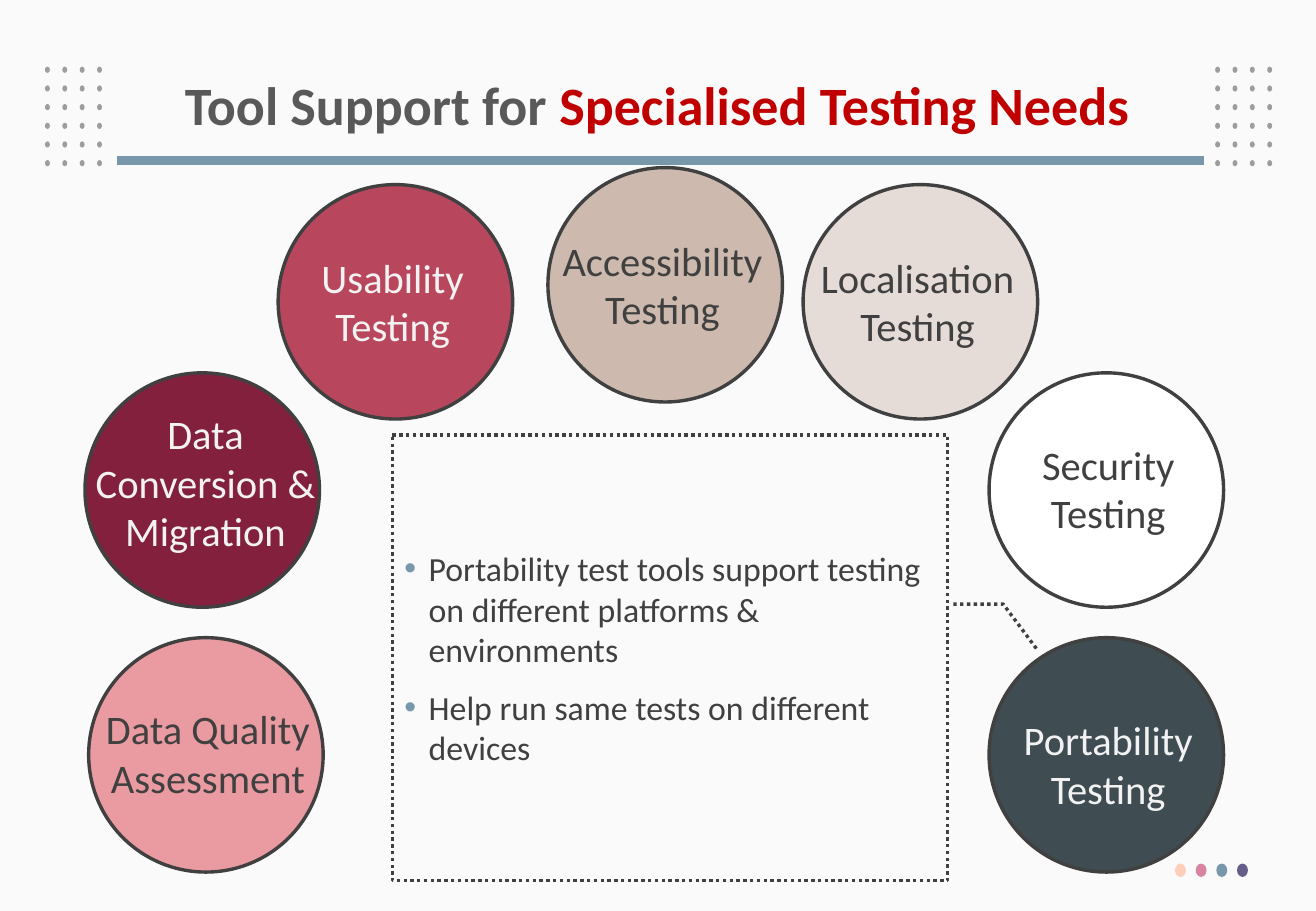
from itertools import product
from lxml.etree import SubElement
from pptx import Presentation
from pptx.dml.color import RGBColor
from pptx.enum.dml import MSO_LINE
from pptx.enum.shapes import MSO_CONNECTOR, MSO_SHAPE
from pptx.enum.text import MSO_ANCHOR, PP_ALIGN
from pptx.oxml.ns import qn
from pptx.util import Inches, Pt

theme = {
    "font": "Calibri", "title": 32, "label": 24, "body": 20,
    "back": "FAFAFA", "dot": "9D9D9D", "rule": "7897AB", "dark": "404040",
    "light": "F2F2F2", "head": "595959", "accent": "C00000",
    "foot": ["FDCEB9", "D885A3", "7897AB", "655D8A"],
}

deck = Presentation()
deck.slide_width, deck.slide_height = Inches(10.83), Inches(7.5)
slide = deck.slides.add_slide(deck.slide_layouts[6])
slide.background.fill.solid()
slide.background.fill.fore_color.rgb = RGBColor.from_string(theme["back"])


def place(left, top, width, height):
    wide, high = deck.slide_width / 100, deck.slide_height / 100
    return [round(n) for n in (left * wide, top * high, width * wide, height * high)]


def paint(shape, fill=None, edge=None, size=None, tint=None):
    if fill:
        shape.shadow.inherit = False
        shape.fill.solid()
        shape.fill.fore_color.rgb = RGBColor.from_string(fill)
        shape.line.fill.background()
    if edge:
        shape.line.color.rgb = RGBColor.from_string(edge)
        shape.line.width = Pt(2)
    if size:
        shape.text_frame.word_wrap = True
        for para in shape.text_frame.paragraphs:
            for run in para.runs:
                run.font.name, run.font.size = theme["font"], Pt(theme[size])
                run.font.color.rgb = RGBColor.from_string(theme[tint])


dots = slide.shapes.add_group_shape().shapes
for row, side, col in product(range(6), (3.42, 92.34), range(4)):
    spot = place(side + 1.32 * col, 7.33 + 2.05 * row, 0.37, 0.67)
    paint(dots.add_shape(MSO_SHAPE.OVAL, *spot), theme["dot"])

left, top, right, base = place(8.86, 17.6, 91.5, 17.6)
rule = slide.shapes.add_connector(MSO_CONNECTOR.STRAIGHT, right, top, left, base)
rule.line.color.rgb = RGBColor.from_string(theme["rule"])
rule.line.width = Pt(5.25)
SubElement(rule._element.spPr, qn("a:effectLst"))

foot = slide.shapes.add_group_shape().shapes
for col, fill in enumerate(theme["foot"]):
    spot = place(89.29 + 1.57 * col, 94.8, 0.83, 1.47)
    paint(foot.add_shape(MSO_SHAPE.OVAL, *spot), fill)

title = slide.shapes.add_textbox(*place(6.83, 5.33, 86.24, 13.07))
title.text_frame.vertical_anchor = MSO_ANCHOR.MIDDLE
para = title.text_frame.paragraphs[0]
para.alignment, para.line_spacing = PP_ALIGN.CENTER, 0.9
for words in ("Tool Support for ", "Specialised Testing Needs"):
    para.add_run().text = words
paint(title, size="title", tint="head")
for run in para.runs:
    run.font.bold = True
para.runs[1].font.color.rgb = RGBColor.from_string(theme["accent"])

note = slide.shapes.add_shape(MSO_SHAPE.LINE_CALLOUT_2, *place(29.82, 47.73, 42.2, 48.93))
for spot, share in enumerate((0.38, 1.01, 0.38, 1.1, 0.48, 1.16)):
    note.adjustments[spot] = share
note.shadow.inherit = False
note.fill.background()
note.line.dash_style = MSO_LINE.ROUND_DOT
note.text_frame.vertical_anchor = MSO_ANCHOR.MIDDLE
note.text_frame.text = (
    "Portability test tools support testing on different platforms & environments\n"
    "Help run same tests on different devices"
)
paint(note, edge=theme["dark"], size="body", tint="dark")
for para in note.text_frame.paragraphs:
    para.alignment, para.space_after = PP_ALIGN.LEFT, Pt(10)
    props = para._p.get_or_add_pPr()
    props.set("marL", str(Inches(0.2)))
    props.set("indent", str(-Inches(0.2)))
    hue = SubElement(props, qn("a:buClr"))
    SubElement(hue, qn("a:srgbClr")).set("val", theme["rule"])
    SubElement(props, qn("a:buFont")).set("typeface", "Arial")
    SubElement(props, qn("a:buChar")).set("char", "•")

rings = [
    ("Data Quality Assessment", 6.74, 70, -1.01, 6.67, "EA9BA2", "dark"),
    ("Data Conversion & Migration", 6.46, 40.93, -0.91, 3.34, "83203E", "light"),
    ("Usability Testing", 21.14, 20.27, -1.37, 6.8, "B8475D", "light"),
    ("Accessibility Testing", 41.64, 18.4, -1.37, 6.8, "CDB9AE", "dark"),
    ("Localisation Testing", 61.03, 20.27, -1.37, 6.8, "E6DCD7", "dark"),
    ("Security Testing", 75.16, 40.93, -1.01, 6.67, "FFFFFF", "dark"),
    ("Portability Testing", 75.16, 70, -1.01, 7.87, "3F4C51", "light"),
]
for words, left, top, shift, drop, fill, tint in rings:
    group = slide.shapes.add_group_shape().shapes
    disc = group.add_shape(MSO_SHAPE.OVAL, *place(left, top, 17.82, 25.73))
    paint(disc, fill, theme["dark"])
    high = 17.47 if "&" in words else 12.13
    label = group.add_textbox(*place(left + shift, top + drop, 20.13, high))
    label.text_frame.text = words
    label.text_frame.paragraphs[0].alignment = PP_ALIGN.CENTER
    paint(label, size="label", tint=tint)

deck.save("out.pptx")
